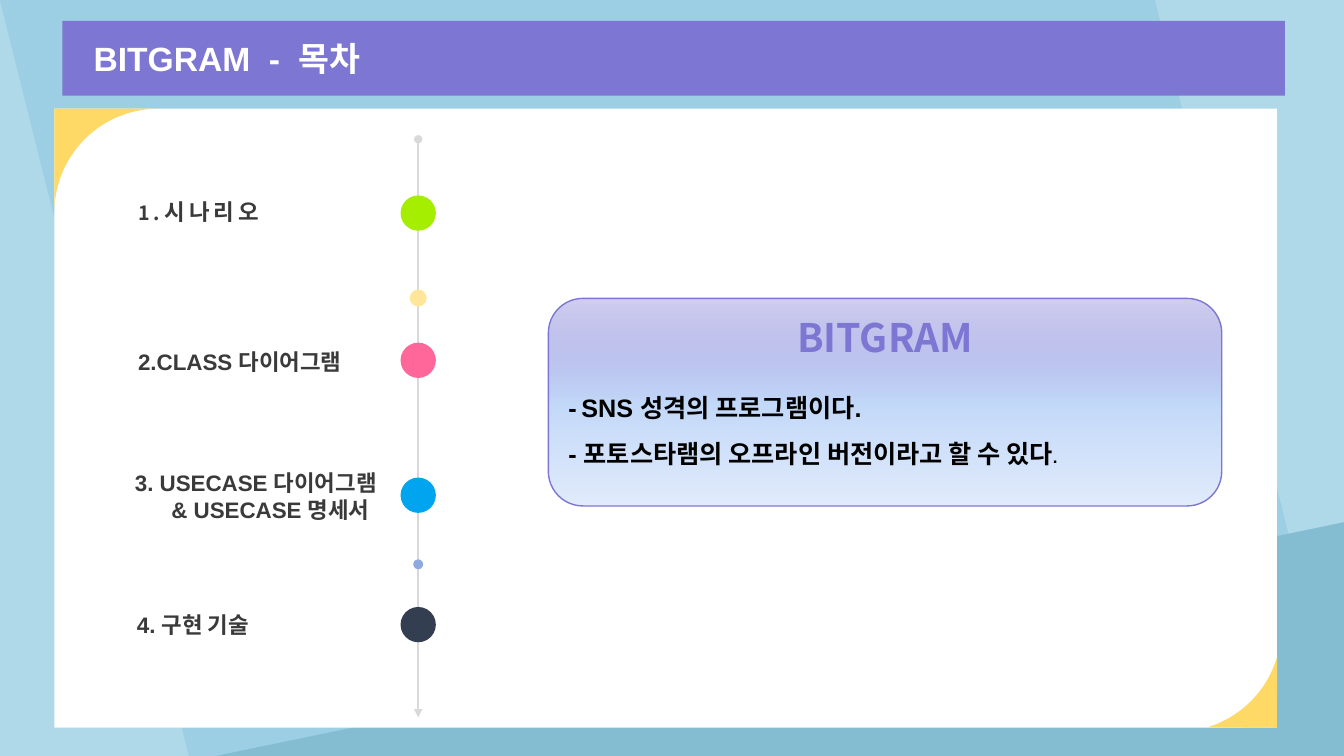
from math import cos, radians, sin
from typing import NamedTuple

from lxml.etree import SubElement
from pptx import Presentation
from pptx.dml.color import RGBColor
from pptx.enum.shapes import MSO_CONNECTOR, MSO_SHAPE
from pptx.enum.text import MSO_ANCHOR, PP_ALIGN
from pptx.oxml.ns import qn
from pptx.util import Cm, Pt

ARIAL, NOTO = "Arial", "Noto Sans CJK KR"
PURPLE, WHITE, YELLOW, GREY, BLACK = "7D76D3", "FFFFFF", "FFD966", "3A3A3A", "000000"
SLIDE_WIDTH, SLIDE_HEIGHT = 33.87, 19.05
AXIS_X = 10.54


class Run(NamedTuple):
    text: str
    size: float = 16
    color: str = GREY
    font: str = ARIAL
    spacing: int = 0


class Line(NamedTuple):
    runs: list[Run]
    format: dict = {}
    indent: float = 0


class Label(NamedTuple):
    left: float
    top: float
    width: float
    lines: list[Line]


class Dot(NamedTuple):
    center_y: float
    diameter: float
    color: str


class Corner(NamedTuple):
    tip: tuple[float, float]
    center: tuple[float, float]
    start: int
    end: int


def rgb(color: str) -> RGBColor:
    return RGBColor.from_string(color)


def set_fill(shape, color: str) -> None:
    shape.shadow.inherit = False
    shape.fill.solid()
    shape.fill.fore_color.rgb = rgb(color)
    shape.line.fill.background()


def add_figure(kind, left: float, top: float, width: float, height: float, color: str, flip=False):
    shape = slide.shapes.add_shape(kind, Cm(left), Cm(top), Cm(width), Cm(height))
    set_fill(shape, color)
    if flip:
        shape._element.spPr.find(qn("a:xfrm")).set("flipH", "1")
    return shape


def add_corner(corner: Corner, radius: float = 2.62) -> None:
    x, y = corner.center
    steps = 30
    angles = [radians(corner.start + (corner.end - corner.start) * i / steps) for i in range(steps + 1)]
    arc = [(Cm(x + radius * cos(angle)), Cm(y + radius * sin(angle))) for angle in angles]
    builder = slide.shapes.build_freeform(Cm(corner.tip[0]), Cm(corner.tip[1]))
    builder.add_line_segments(arc, close=True)
    set_fill(builder.convert_to_shape(), YELLOW)


def write(shape, lines: list[Line], anchor=MSO_ANCHOR.MIDDLE) -> None:
    frame = shape.text_frame
    frame.word_wrap = True
    frame.vertical_anchor = anchor
    for index, line in enumerate(lines):
        paragraph = frame.paragraphs[0] if index == 0 else frame.add_paragraph()
        for name, value in ({"alignment": PP_ALIGN.LEFT} | line.format).items():
            setattr(paragraph, name, value)
        if line.indent:
            paragraph._p.get_or_add_pPr().set("marL", str(Cm(line.indent)))
        for item in line.runs:
            run = paragraph.add_run()
            run.text = item.text
            for name, value in {"name": item.font, "size": Pt(item.size), "bold": True}.items():
                setattr(run.font, name, value)
            run.font.color.rgb = rgb(item.color)
            properties = run._r.get_or_add_rPr()
            SubElement(properties, qn("a:ea"), typeface=NOTO)
            if item.spacing:
                properties.set("spc", str(item.spacing * 100))


def add_axis(top: float, bottom: float) -> None:
    axis = slide.shapes.add_connector(MSO_CONNECTOR.STRAIGHT, Cm(AXIS_X), Cm(top), Cm(AXIS_X), Cm(bottom))
    axis.line.color.rgb = rgb("D9D9D9")
    axis.line.width = Pt(1.5)
    line = axis.line._get_or_add_ln()
    SubElement(line, qn("a:headEnd"), type="oval")
    SubElement(line, qn("a:tailEnd"), type="triangle")
    SubElement(axis._element.spPr, qn("a:effectLst"))


def set_gradient(shape, stops: list[tuple[int, str, int]]) -> None:
    shape.fill.gradient()
    gradient = shape._element.spPr.find(qn("a:gradFill"))
    for child in list(gradient):
        gradient.remove(child)
    stop_list = SubElement(gradient, qn("a:gsLst"))
    for position, color, opacity in stops:
        stop = SubElement(stop_list, qn("a:gs"), pos=str(position * 1000))
        tone = SubElement(stop, qn("a:srgbClr"), val=color)
        if opacity < 100:
            SubElement(tone, qn("a:alpha"), val=str(opacity * 1000))
    SubElement(gradient, qn("a:lin"), ang="5400000", scaled="0")


LABELS = [
    Label(3.23, 3.99, 6.63, [Line([Run("1.", 14, font=NOTO, spacing=3), Run("시나리오", spacing=3)])]),
    Label(3.23, 7.77, 6.63, [Line([Run("2.CLASS 다이어그램")])]),
    Label(3.15, 11.15, 7.04, [Line([Run("3. USECASE 다이어그램")]),
                              Line([Run("& USECASE 명세서")], indent=0.92)]),
    Label(3.2, 14.22, 6.63, [Line([Run("4. 구현 기술")], {"line_spacing": 1.5})]),
]
DOTS = [
    Dot(5.37, 0.89, "A5EE01"),
    Dot(7.51, 0.43, "FFE699"),
    Dot(9.08, 0.89, "FF6699"),
    Dot(12.48, 0.89, "01A4EF"),
    Dot(14.22, 0.25, "8FAADC"),
    Dot(15.74, 0.89, "333F50"),
]
CORNERS = [
    Corner((1.37, 2.74), (3.99, 5.36), 180, 270),
    Corner((32.18, 18.34), (29.67, 15.82), 16, 73),
]
CARD_LINES = [
    Line([Run("BITGRAM", 28, PURPLE, NOTO)], {"alignment": PP_ALIGN.CENTER, "space_after": Pt(12)}),
    Line([Run("-", 18, BLACK), Run(" ", 12, BLACK), Run("SNS 성격의 프로그램이다.", 18, BLACK)],
         {"line_spacing": 1.5}),
    Line([Run("- 포토스타램의 오프라인 버전이라고 할 수 있다", 18, BLACK), Run(".", 12, BLACK)],
         {"line_spacing": 1.5}),
]

presentation = Presentation()
presentation.slide_width, presentation.slide_height = Cm(SLIDE_WIDTH), Cm(SLIDE_HEIGHT)
slide = presentation.slides.add_slide(presentation.slide_layouts[6])

# Background
slide.background.fill.solid()
slide.background.fill.fore_color.rgb = rgb("AFD9E9")
add_figure(MSO_SHAPE.PARALLELOGRAM, 0, 0, SLIDE_WIDTH, SLIDE_HEIGHT, "9CCFE4", flip=True)
add_figure(MSO_SHAPE.RIGHT_TRIANGLE, 5.44, 13.16, 28.43, 5.89, "84BDD1", flip=True)

# White panel with yellow corners
add_figure(MSO_SHAPE.RECTANGLE, 1.37, 2.74, 30.81, 15.6, WHITE)
for corner in CORNERS:
    add_corner(corner)

# Title bar
title = add_figure(MSO_SHAPE.RECTANGLE, 1.57, 0.53, 30.81, 1.88, PURPLE)
title.text_frame.margin_left = Cm(0.79)
write(title, [Line([Run("BITGRAM  -  목차", 24, WHITE)])])

# Timeline
add_axis(3.51, 18.08)
for dot in DOTS:
    radius = dot.diameter / 2
    add_figure(MSO_SHAPE.OVAL, AXIS_X - radius, dot.center_y - radius, dot.diameter, dot.diameter, dot.color)
for label in LABELS:
    box = slide.shapes.add_textbox(Cm(label.left), Cm(label.top), Cm(label.width), Cm(2.69))
    write(box, label.lines)

# Description card
card = add_figure(MSO_SHAPE.ROUNDED_RECTANGLE, 13.82, 7.52, 16.97, 5.23, WHITE)
set_gradient(card, [(0, PURPLE, 35), (50, "C2D8F8", 100), (100, "E1EBFB", 100)])
card.line.color.rgb = rgb(PURPLE)
card.line.width = Pt(1)
write(card, CARD_LINES, MSO_ANCHOR.TOP)

presentation.save("out.pptx")
